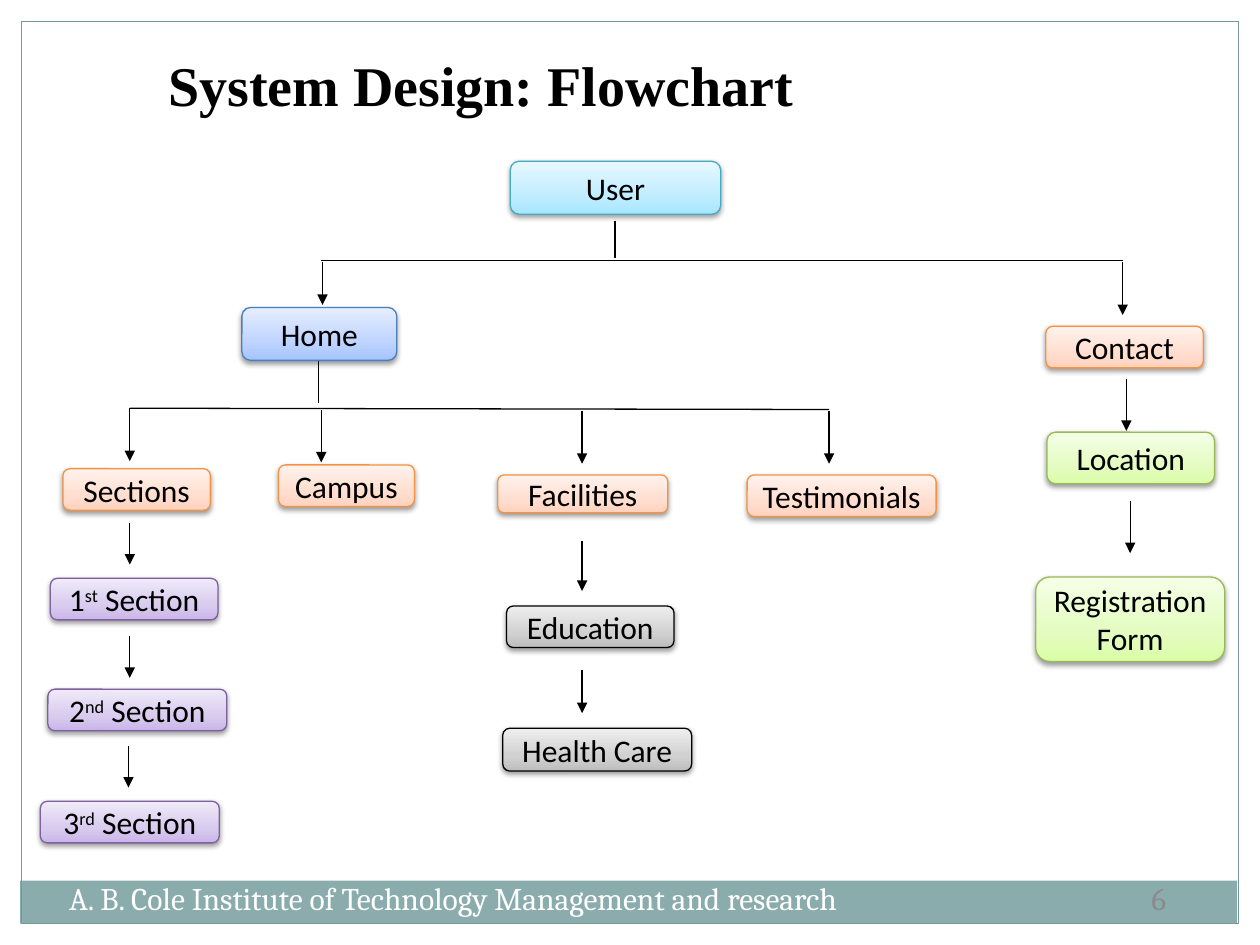
from pptx import Presentation
from pptx.dml.color import RGBColor
from pptx.enum.shapes import MSO_CONNECTOR, MSO_SHAPE
from pptx.enum.text import MSO_ANCHOR, PP_ALIGN
from pptx.oxml import parse_xml
from pptx.oxml.ns import nsdecls
from pptx.util import Inches, Pt

RECT, ROUND = MSO_SHAPE.RECTANGLE, MSO_SHAPE.ROUNDED_RECTANGLE
STRAIGHT = MSO_CONNECTOR.STRAIGHT
MIDDLE = MSO_ANCHOR.MIDDLE
LEFT, CENTER = PP_ALIGN.LEFT, PP_ALIGN.CENTER

COLORS = {"black": "000000", "white": "FFFFFF", "gray": "8B8B8B",
          "frame": "7A9798", "band": "8BACAD"}

# Box themes: outline, then gradient stops from bottom to top
THEMES = {
    "aqua": ("46AAC5", "A7E6FF", "C1EDFF", "E7F8FF"),
    "blue": ("4B7EBC", "A4C4FF", "BFD4FF", "E6EEFF"),
    "orange": ("F69240", "FFD2BD", "FFDED0", "FFF2ED"),
    "purple": ("7D60A0", "C9B5E8", "D8CBEE", "F0EAF9"),
    "green": ("98B955", "DAFDA7", "E4FCC2", "F5FFE7"),
    "gray": ("000000", "BDBDBD", "D1D1D1", "EEEEEE"),
}
STOPS = (0, 35000, 100000)
SHADOW = (f'<a:effectLst {nsdecls("a")}><a:outerShdw blurRad="39370" dist="20320" '
          'dir="5400000" rotWithShape="0"><a:srgbClr val="000000">'
          '<a:alpha val="38000"/></a:srgbClr></a:outerShdw></a:effectLst>')


class FlowSlide:
    """Current slide together with its line, text and box style."""

    line_width = Pt(0.75)
    font, size = "Calibri", 18

    def __init__(self, slide):
        self.shapes = slide.shapes

    def add_runs(self, tf, runs, font, size, color, align, bold=False):
        tf.word_wrap = True
        tf.vertical_anchor = MIDDLE
        p = tf.paragraphs[0]
        p.alignment = align
        for text, raised in runs:
            r = p.add_run()
            r.text = text
            r.font.name, r.font.size, r.font.bold = font, Pt(size), bold
            r.font.color.rgb = RGBColor.from_string(color)
            if raised:
                r.font._element.set("baseline", "30000")

    def text(self, at, text, font, size, color, align=LEFT, bold=False):
        s = self.shapes.add_textbox(*map(Inches, at))
        self.add_runs(s.text_frame, [(text, False)], font, size, COLORS[color], align, bold)
        return s.text_frame

    def panel(self, at, fill=None, line=None):
        s = self.shapes.add_shape(RECT, *map(Inches, at))
        s.shadow.inherit = False
        if fill:
            s.fill.solid()
            s.fill.fore_color.rgb = RGBColor.from_string(COLORS[fill])
        else:
            s.fill.background()
        if line:
            s.line.color.rgb = RGBColor.from_string(COLORS[line])
            s.line.width = self.line_width
        else:
            s.line.fill.background()

    def box(self, theme, at, *runs):
        outline, *shades = THEMES[theme]
        s = self.shapes.add_shape(ROUND, *map(Inches, at))
        s.line.color.rgb = RGBColor.from_string(outline)
        s.line.width = self.line_width
        stops = "".join(f'<a:gs pos="{pos}"><a:srgbClr val="{shade}"/></a:gs>'
                        for pos, shade in zip(STOPS, shades))
        sp = s._element.spPr
        sp.insert(2, parse_xml(f'<a:gradFill {nsdecls("a")} rotWithShape="1"><a:gsLst>{stops}'
                               '</a:gsLst><a:lin ang="16200000" scaled="0"/></a:gradFill>'))
        sp.append(parse_xml(SHADOW))
        self.add_runs(s.text_frame, runs, self.font, self.size, COLORS["black"], CENTER)

    def line(self, x1, y1, x2, y2, arrow=False):
        s = self.shapes.add_connector(STRAIGHT, *map(Inches, (x1, y1, x2, y2)))
        s.line.color.rgb = RGBColor.from_string(COLORS["black"])
        s.line.width = self.line_width
        if arrow:
            s.line._get_or_add_ln().append(
                parse_xml(f'<a:tailEnd {nsdecls("a")} type="triangle"/>'))
        s._element.spPr.append(parse_xml(f'<a:effectLst {nsdecls("a")}/>'))

    def arrow(self, x, top, bottom):
        self.line(x, top, x, bottom, arrow=True)


def main():
    prs = Presentation()
    prs.slide_width, prs.slide_height = Inches(10), Inches(7.5)
    flow = FlowSlide(prs.slides.add_slide(prs.slide_layouts[6]))

    # Frame, title and footer
    flow.panel((0.16, 6.99, 9.66, 0.34), fill="band")
    flow.panel((0.17, 0.17, 9.66, 7.16), line="frame")
    tf = flow.text((0.5, 0.25, 9, 0.67), "System Design: Flowchart",
                   "Times New Roman", 32, "black", CENTER, bold=True)
    tf.margin_right, tf.margin_top = Inches(2.46), Inches(0.22)
    flow.text((0.45, 6.75, 7.3, 0.75),
              "A. B. Cole Institute of Technology Management and research",
              "Cambria", 18, "white")
    flow.text((9.04, 6.75, 0.64, 0.75), "6", "Cambria", 18, "gray")

    # Stems and branch lines
    for ends in ((4.88, 1.75, 4.88, 2.05), (2.55, 2.07, 4.88, 2.07),
                 (4.82, 2.07, 7.96, 2.07), (7.96, 2.07, 8.91, 2.07),
                 (2.53, 2.86, 2.53, 3.2), (1.03, 3.24, 6.58, 3.25)):
        flow.line(*ends)

    # Arrows: x, top, bottom
    for ends in ((2.56, 2.08, 2.42), (8.91, 2.08, 2.5),
                 (1.03, 3.24, 3.66), (2.55, 3.25, 3.67),
                 (4.62, 3.26, 3.68), (6.58, 3.26, 3.68),
                 (1.03, 4.15, 4.48), (1.03, 5.05, 5.38), (1.02, 5.92, 6.25),
                 (4.62, 4.29, 4.69), (4.62, 5.32, 5.66),
                 (8.94, 3.01, 3.42), (8.97, 3.98, 4.39)):
        flow.arrow(*ends)

    # Pages of the site
    for theme, at, label in (
            ("aqua", (4.05, 1.28, 1.67, 0.42), "User"),
            ("blue", (1.92, 2.44, 1.23, 0.42), "Home"),
            ("orange", (8.3, 2.59, 1.25, 0.33), "Contact"),
            ("orange", (0.5, 3.72, 1.17, 0.33), "Sections"),
            ("orange", (2.21, 3.69, 1.08, 0.33), "Campus"),
            ("orange", (3.95, 3.77, 1.35, 0.3), "Facilities"),
            ("orange", (5.93, 3.77, 1.5, 0.33), "Testimonials"),
            ("green", (8.31, 3.43, 1.33, 0.41), "Location"),
            ("green", (8.22, 4.58, 1.5, 0.67), "Registration Form"),
            ("gray", (4.02, 4.81, 1.33, 0.33), "Education"),
            ("gray", (3.99, 5.78, 1.5, 0.34), "Health Care")):
        flow.box(theme, at, (label, False))

    # Numbered sections with raised ordinals
    for number, ordinal, at in (("1", "st", (0.4, 4.59, 1.33, 0.33)),
                                ("2", "nd", (0.38, 5.47, 1.42, 0.33)),
                                ("3", "rd", (0.32, 6.36, 1.42, 0.33))):
        flow.box("purple", at, (number, False), (ordinal, True), (" Section", False))

    prs.save("out.pptx")


if __name__ == "__main__":
    main()
